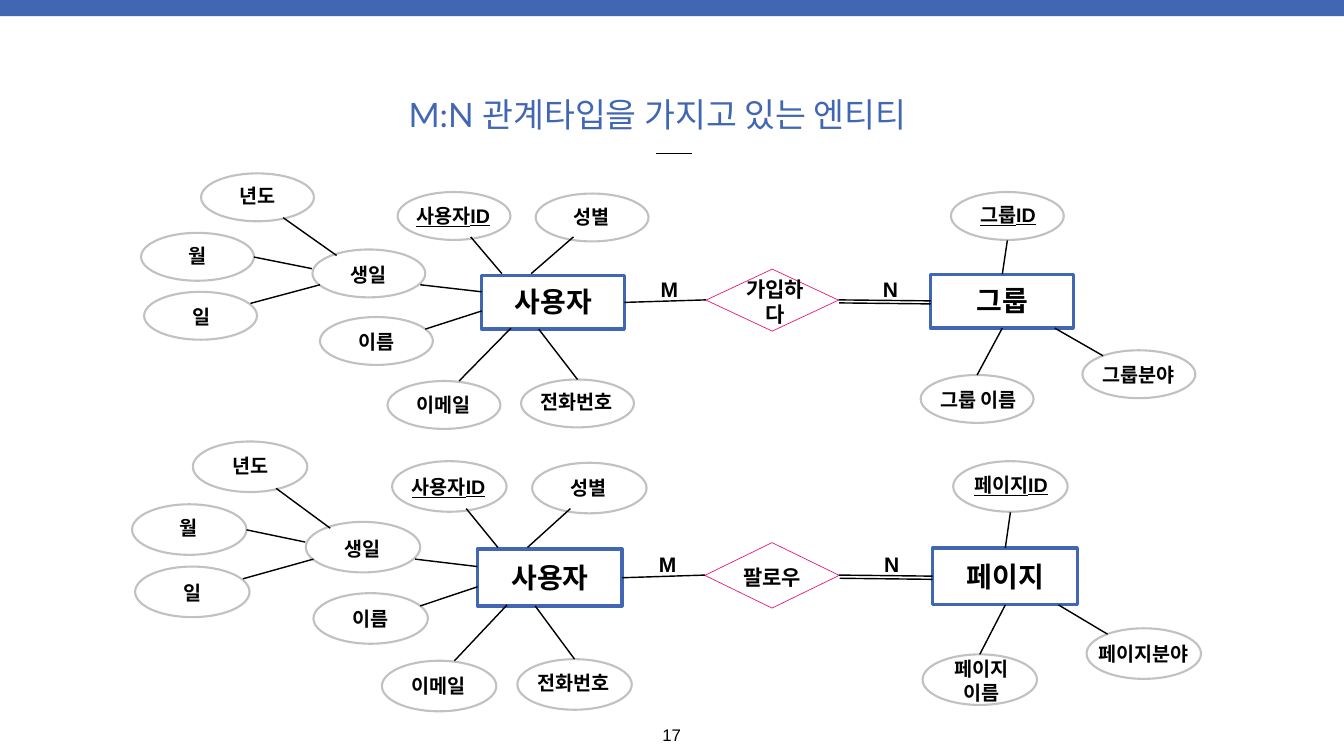
from pptx import Presentation
from pptx.dml.color import RGBColor
from pptx.enum.shapes import MSO_CONNECTOR as Connector, MSO_SHAPE as Shape
from pptx.enum.text import MSO_ANCHOR as Anchor, MSO_AUTO_SIZE as AutoSize, PP_ALIGN as Align
from pptx.oxml.ns import qn
from pptx.util import Pt
from lxml.etree import SubElement

EMU_PER_PX = 9144
BLUE, GREY, PINK, BLACK, WHITE = "4267B2", "C1C1C1", "E4177D", "000000", "FFFFFF"

USER_ATTRIBUTES = [
    ("사용자ID", (789, 381), (806, 408, 187)),
    ("성별", (1063, 384), (1107, 410, 132)),
    ("전화번호", (1034, 753), (1061, 777, 167)),
    ("이메일", (769, 756), (792, 782, 175)),
    ("이름", (635, 629), (681, 657, 132)),
    ("생일", (620, 495), (666, 524, 132)),
    ("일", (286, 579), (333, 608, 132)),
    ("월", (280, 462), (325, 486, 132)),
    ("년도", (399, 344), (445, 368, 132)),
]
LINKS = [
    (1138, 470, 1054, 543), (934, 470, 996, 543), (834, 565, 956, 579),
    (956, 617, 844, 653), (1014, 651, 911, 756), (1069, 653, 1146, 753),
    (668, 507, 562, 432), (619, 533, 504, 510), (635, 565, 497, 602),
    (1401, 595, 1239, 600), (1664, 595, 1847, 597), (1665, 601, 1847, 603),
    (1999, 477, 1989, 544), (2093, 651, 2189, 706), (1989, 651, 1939, 744),
]


def color(hex_string):
    return RGBColor.from_string(hex_string)


class ErSlide:
    font = "Arial"
    inset = 6

    def __init__(self, slide):
        self.slide = slide
        self.place()

    def place(self, origin=(0, 0), target=(0, 0), stretch=(1, 1)):
        self.origin, self.target, self.stretch = origin, target, stretch
        self.shapes = self.slide.shapes

    def group(self):
        self.shapes = self.slide.shapes.add_group_shape().shapes

    def point(self, x, y):
        return [round((t + (v - o) * s) * EMU_PER_PX)
                for v, o, t, s in zip((x, y), self.origin, self.target, self.stretch)]

    def frame(self, x, y, width, height):
        left, top = self.point(x, y)
        right, bottom = self.point(x + width, y + height)
        return left, top, right - left, bottom - top

    def block(self, kind, box, fill=WHITE, outline=None, weight=0):
        block = self.shapes.add_shape(kind, *self.frame(*box))
        block.shadow.inherit = False
        block.fill.solid()
        block.fill.fore_color.rgb = color(fill)
        if outline:
            block.line.color.rgb = color(outline)
            block.line.width = Pt(weight)
        else:
            block.line.fill.background()

    def label(self, text, box, size=28, bold=True, underline=None, wrap=True,
              ink=BLACK, font=None, anchor=Anchor.MIDDLE):
        frame = self.shapes.add_textbox(*self.frame(*box)).text_frame
        frame.word_wrap = wrap
        frame.auto_size = AutoSize.SHAPE_TO_FIT_TEXT
        frame.vertical_anchor = anchor
        inset = self.inset * EMU_PER_PX
        frame.margin_left = frame.margin_right = inset
        frame.margin_top = frame.margin_bottom = inset
        line = frame.paragraphs[0]
        line.text = text
        line.alignment = Align.CENTER
        line.font.name = font or self.font
        line.font.size = Pt(size)
        line.font.bold = bold
        line.font.underline = underline
        line.font.color.rgb = color(ink)

    def link(self, x1, y1, x2, y2):
        link = self.shapes.add_connector(
            Connector.STRAIGHT, *self.point(x1, y1), *self.point(x2, y2))
        link.line.color.rgb = color(BLACK)
        link.line.width = Pt(2)
        SubElement(link._element.spPr, qn("a:effectLst"))

    def attribute(self, name, oval, caption, rows=1):
        self.block(Shape.OVAL, (*oval, 224, 95), outline=GREY, weight=3)
        underline = True if name.endswith("ID") else None
        left, top, width = caption
        height = 41 if rows == 1 else 74
        self.label(name, (left, top + (41 - height) // 2, width, height), underline=underline)

    def entity(self, name, x, y):
        self.block(Shape.RECTANGLE, (x, y, 283, 107), outline=BLUE, weight=4.5)
        self.label(name, (x + 15, y + 25, 254, 55), size=40)

    def relationship(self, name, caption):
        self.block(Shape.DIAMOND, (1401, 534, 263, 123), outline=PINK, weight=1)
        self.label(name, caption, size=30)

    def diagram(self, relation, relation_box, owned, name_rows=1):
        self.group()
        for attribute in USER_ATTRIBUTES:
            self.attribute(*attribute)
        self.attribute(f"{owned}ID", (1887, 381), (1908, 405, 184))
        self.attribute(f"{owned} 이름", (1827, 744), (1847, 773, 190), name_rows)
        self.attribute(f"{owned}분야", (2148, 695), (2148, 722, 224))
        self.entity("사용자", 956, 546)
        self.entity(owned, 1847, 544)
        self.relationship(relation, relation_box)
        for ends in LINKS:
            self.link(*ends)
        self.label("M", (1305, 552, 45, 43), size=30, wrap=False)
        self.label("N", (1746, 553, 41, 43), size=30, wrap=False)


def main():
    deck = Presentation()
    deck.slide_width, deck.slide_height = 2667 * EMU_PER_PX, 1500 * EMU_PER_PX
    page = ErSlide(deck.slides.add_slide(deck.slide_layouts[6]))

    page.block(Shape.RECTANGLE, (0, -3, 2667, 35), fill=BLUE)
    page.label("M:N 관계타입을 가지고 있는 엔티티", (793, 181, 1024, 92),
               size=48, bold=False, wrap=False, ink=BLUE, font="Lato")
    page.label("17", (1308, 1431, 50, 50), size=24, bold=False, wrap=False, anchor=Anchor.TOP)
    page.link(1302, 305, 1373, 305)

    page.diagram("가입하다", (1475, 560, 127, 78), "그룹")
    page.place(origin=(280, 344), target=(262, 876), stretch=(1.014, 1.056))
    page.diagram("팔로우", (1457, 577, 151, 43), "페이지", name_rows=2)

    deck.save("out.pptx")


if __name__ == "__main__":
    main()
